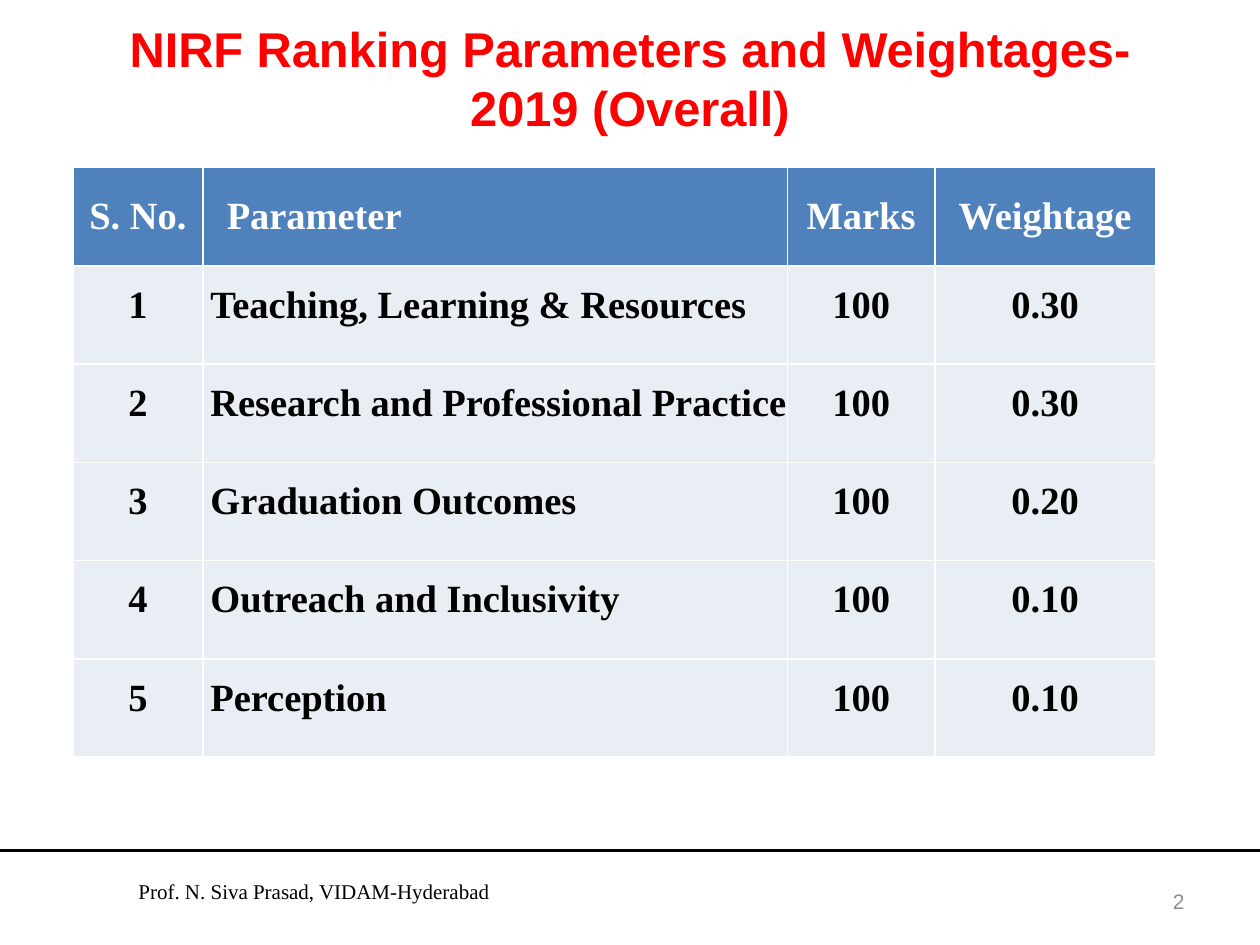
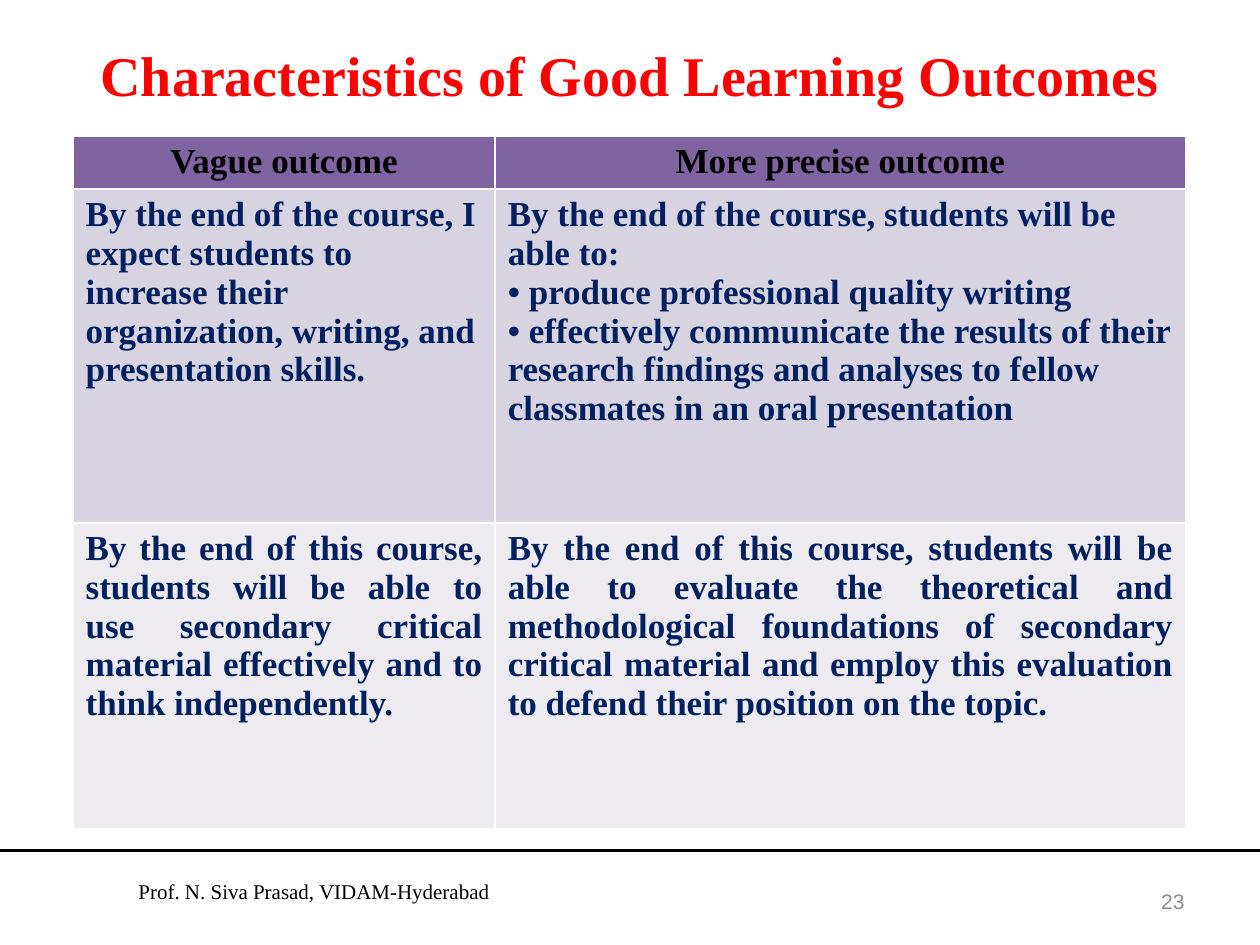
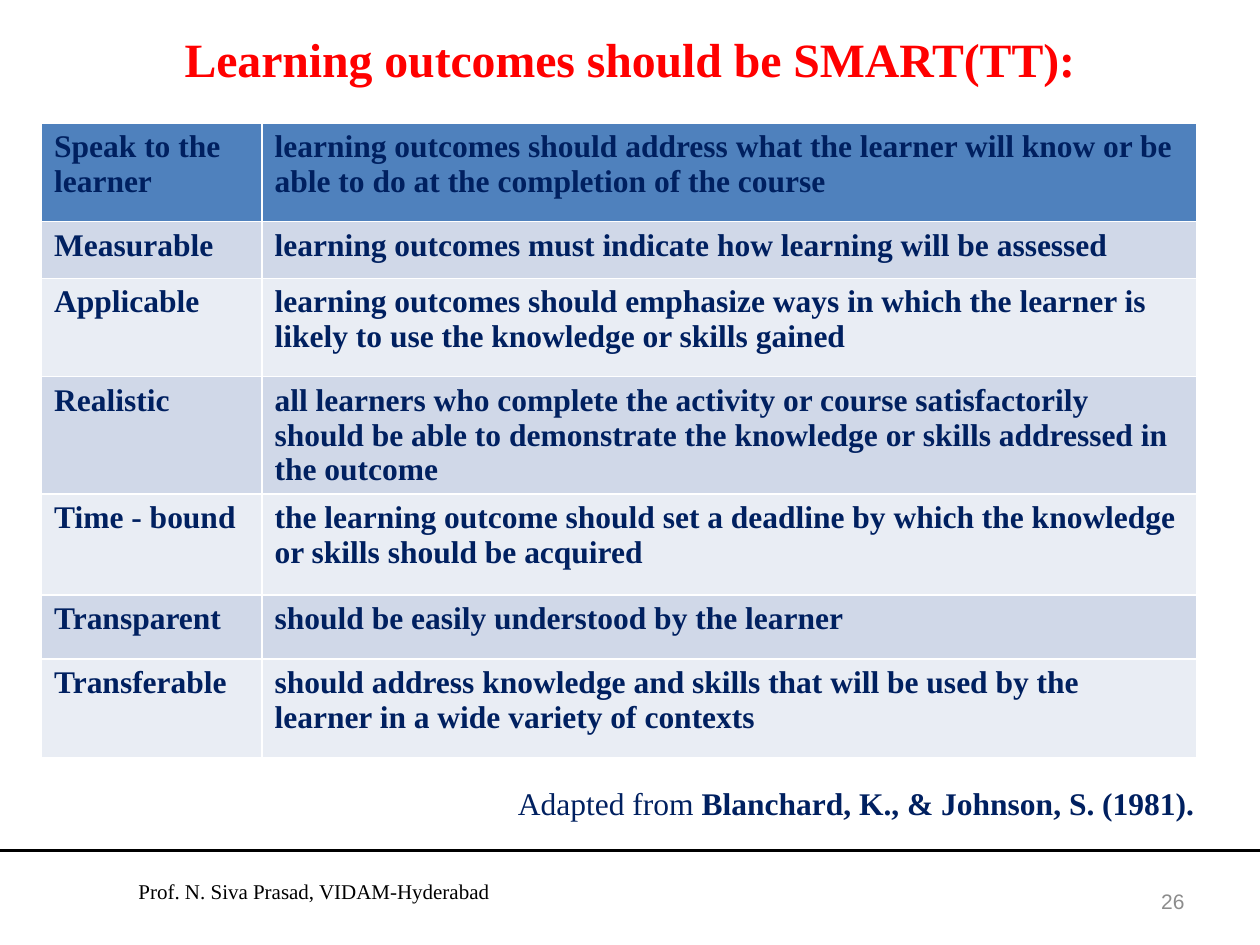
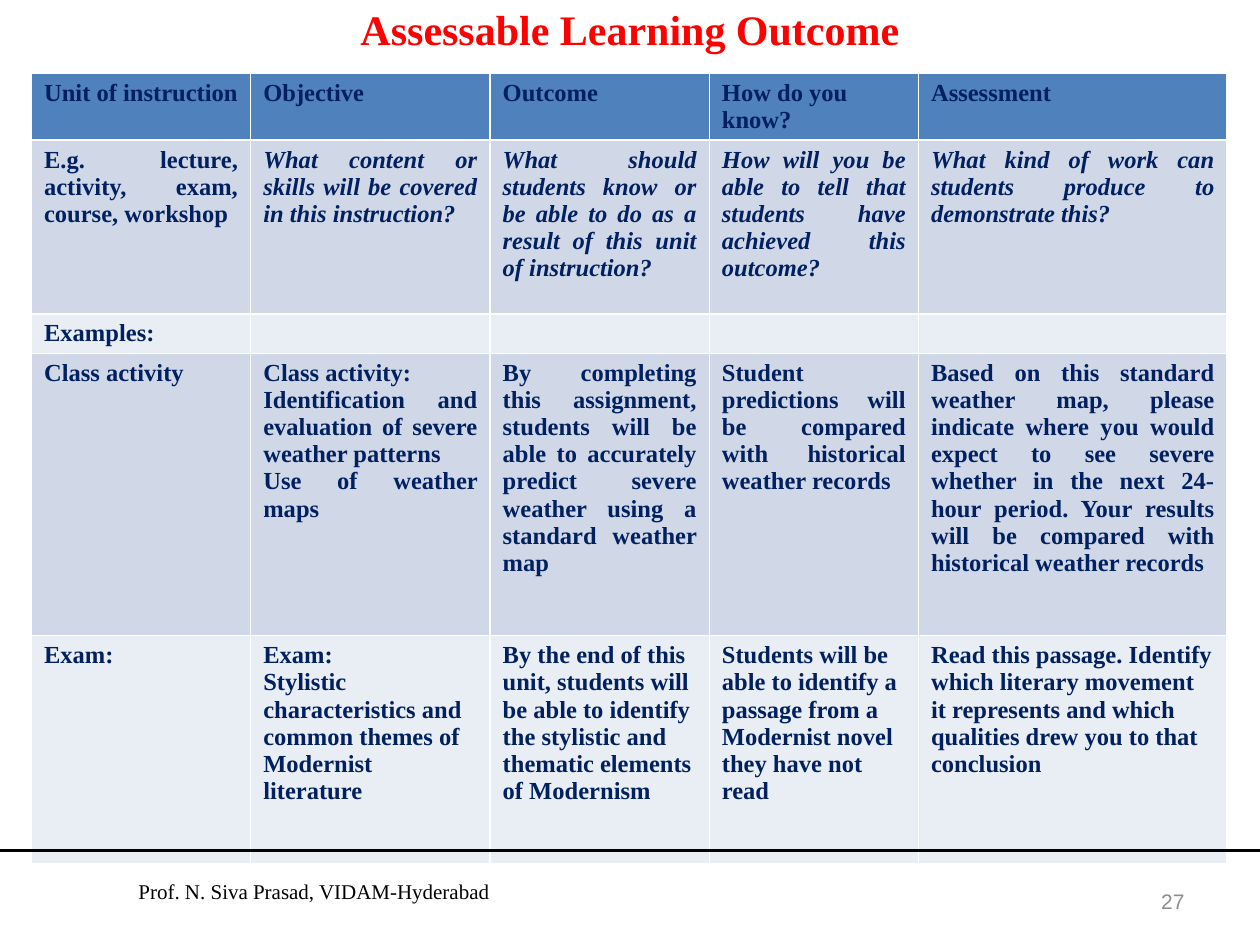
"""Builds four slides of ranking and learning outcome tables with a shared title, footer and table style."""
from pptx import Presentation
from pptx.dml.color import RGBColor
from pptx.enum.shapes import MSO_CONNECTOR
from pptx.enum.text import MSO_ANCHOR, MSO_AUTO_SIZE, PP_ALIGN
from pptx.oxml.ns import qn
from pptx.util import Inches, Pt
from lxml.etree import SubElement

RED = RGBColor(0xFF, 0x00, 0x00)
NAVY = RGBColor(0x00, 0x20, 0x60)
BLACK = RGBColor(0x00, 0x00, 0x00)
WHITE = RGBColor(0xFF, 0xFF, 0xFF)
GRAY = RGBColor(0x8C, 0x8C, 0x8C)
BLUE = RGBColor(0x4F, 0x81, 0xBD)
BLUE_BAND = RGBColor(0xD0, 0xD8, 0xE8)
BLUE_PALE = RGBColor(0xE9, 0xED, 0xF4)
PURPLE = RGBColor(0x80, 0x64, 0xA2)
PURPLE_BAND = RGBColor(0xD8, 0xD3, 0xE0)
PURPLE_PALE = RGBColor(0xED, 0xEA, 0xF0)

SERIF, SANS = "Times New Roman", "Arial"
LEFT, CENTER, RIGHT, JUSTIFY = PP_ALIGN.LEFT, PP_ALIGN.CENTER, PP_ALIGN.RIGHT, PP_ALIGN.JUSTIFY
FOOTER = "Prof. N. Siva Prasad, VIDAM-Hyderabad"
SOURCE = (("Adapted from ", False), ("Blanchard, K., & Johnson, S. (1981).", True))

SLIDES = [
    {
        "number": 2,
        "title": "NIRF Ranking Parameters and Weightages- 2019 (Overall)",
        "title_box": (0.5, 0.3, 9, 1.25), "title_size": 27.9, "title_font": SANS,
        "origin": (0.58, 1.33), "columns": (1.03, 4.64, 1.17, 1.75), "heights": (0.78,) * 6,
        "size": 22, "header_color": WHITE, "color": BLACK, "fills": (BLUE, BLUE_PALE, BLUE_PALE),
        "alignments": (CENTER,) * 6,
        "rows": [
            ("S. No.", "Parameter", "Marks", "Weightage"),
            ("1", "Teaching, Learning & Resources", "100", "0.30"),
            ("2", "Research and Professional Practice", "100", "0.30"),
            ("3", "Graduation Outcomes", "100", "0.20"),
            ("4", "Outreach and Inclusivity", "100", "0.10"),
            ("5", "Perception", "100", "0.10"),
        ],
    },
    {
        "number": 23,
        "title": "Characteristics of Good Learning Outcomes",
        "title_box": (0.5, 0.25, 9, 0.67), "title_size": 32, "title_font": SERIF,
        "origin": (0.58, 1.08), "columns": (3.35, 5.48), "heights": (0.42, 2.65, 2.43),
        "size": 20, "header_color": BLACK, "color": NAVY, "fills": (PURPLE, PURPLE_BAND, PURPLE_PALE),
        "alignments": (CENTER, LEFT, JUSTIFY),
        "rows": [
            ("Vague outcome", "More precise outcome"),
            ("By the end of the course, I expect students to increase their organization, writing, "
             "and presentation skills.",
             "By the end of the course, students will be able to:\n"
             "• produce professional quality writing\n"
             "• effectively communicate the results of their research findings and analyses to fellow "
             "classmates in an oral presentation"),
            ("By the end of this course, students will be able to use secondary critical material "
             "effectively and to think independently.",
             "By the end of this course, students will be able to evaluate the theoretical and "
             "methodological foundations of secondary critical material and employ this evaluation "
             "to defend their position on the topic."),
        ],
    },
    {
        "number": 26,
        "title": "Learning outcomes should be SMART(TT):",
        "title_box": (0.5, 0.17, 9, 0.58), "title_size": 27.3, "title_font": SERIF,
        "origin": (0.33, 0.98), "columns": (1.75, 7.42),
        "heights": (0.78, 0.45, 0.78, 0.78, 0.8, 0.51, 0.78),
        "size": 18, "header_color": NAVY, "color": NAVY, "fills": (BLUE, BLUE_BAND, BLUE_PALE),
        "alignments": (LEFT,) * 7,
        "rows": [
            ("Speak to the learner", "learning outcomes should address what the learner will know or be "
             "able to do at the completion of the course"),
            ("Measurable", "learning outcomes must indicate how learning will be assessed"),
            ("Applicable", "learning outcomes should emphasize ways in which the learner is likely to use "
             "the knowledge or skills gained"),
            ("Realistic", "all learners who complete the activity or course satisfactorily should be able "
             "to demonstrate the knowledge or skills addressed in the outcome"),
            ("Time - bound", "the learning outcome should set a deadline by which the knowledge or skills "
             "should be acquired"),
            ("Transparent", "should be easily understood by the learner"),
            ("Transferable", "should address knowledge and skills that will be used by the learner in a "
             "wide variety of contexts"),
        ],
    },
    {
        "number": 27,
        "title": "Assessable Learning Outcome",
        "title_box": (0.5, -0.08, 9, 0.62), "title_size": 24, "title_font": SERIF,
        "origin": (0.25, 0.58), "columns": (1.74, 1.9, 1.74, 1.66, 2.45),
        "heights": (0.52, 1.38, 0.31, 2.24, 1.81),
        "size": 14, "header_color": NAVY, "color": NAVY, "fills": (BLUE, BLUE_BAND, BLUE_PALE),
        "alignments": (LEFT, JUSTIFY, JUSTIFY, JUSTIFY, LEFT),
        "rows": [
            ("Unit of instruction", "Objective", "Outcome", "How do you know?", "Assessment"),
            ("E.g. lecture, activity, exam, course, workshop",
             "What content or skills will be covered in this instruction?",
             "What should students know or be able to do as a result of this unit of instruction?",
             "How will you be able to tell that students have achieved this outcome?",
             "What kind of work can students produce to demonstrate this?"),
            ("Examples:", "", "", "", ""),
            ("Class activity",
             "Class activity:\nIdentification and evaluation of severe weather patterns\nUse of weather maps",
             "By completing this assignment, students will be able to accurately predict severe weather "
             "using a standard weather map",
             "Student predictions will be compared with historical weather records",
             "Based on this standard weather map, please indicate where you would expect to see severe "
             "whether in the next 24-hour period. Your results will be compared with historical weather "
             "records"),
            ("Exam:",
             "Exam:\nStylistic characteristics and common themes of Modernist literature",
             "By the end of this unit, students will be able to identify the stylistic and thematic "
             "elements of Modernism",
             "Students will be able to identify a passage from a Modernist novel they have not read",
             "Read this passage. Identify which literary movement it represents and which qualities drew "
             "you to that conclusion"),
        ],
    },
]


def inches(*lengths):
    return [Inches(length) for length in lengths]


def style(paragraph, size, color, font=SERIF, bold=False, alignment=LEFT):
    paragraph.alignment = alignment
    paragraph.font.name = font
    paragraph.font.size = Pt(size)
    paragraph.font.bold = bold
    paragraph.font.color.rgb = color


def add_title(slide, content):
    title = slide.shapes.title
    title.left, title.top, title.width, title.height = inches(*content["title_box"])
    frame = title.text_frame
    frame.text = content["title"]
    frame.auto_size = MSO_AUTO_SIZE.NONE
    frame.vertical_anchor = MSO_ANCHOR.MIDDLE
    style(frame.paragraphs[0], content["title_size"], RED, content["title_font"], True, CENTER)
    return frame


def add_text(slide, box, runs, size, color, font=SERIF, alignment=LEFT, anchor=MSO_ANCHOR.TOP):
    frame = slide.shapes.add_textbox(*inches(*box)).text_frame
    frame.word_wrap = True
    frame.vertical_anchor = anchor
    paragraph = frame.paragraphs[0]
    style(paragraph, size, color, font, alignment=alignment)
    for text, bold in runs:
        run = paragraph.add_run()
        run.text = text
        run.font.bold = bold


def add_footer(slide, number):
    line = slide.shapes.add_connector(MSO_CONNECTOR.STRAIGHT, *inches(0, 6.75, 10, 6.75))
    line.line.color.rgb = BLACK
    line.line.width = Pt(2.25)
    SubElement(line._element.spPr, qn("a:effectLst"))
    add_text(slide, (1, 6.92, 3.69, 0.3), [(FOOTER, False)], 12, BLACK)
    add_text(slide, (7.17, 6.95, 2.33, 0.4), [(str(number), False)], 12, GRAY, SANS, RIGHT,
             MSO_ANCHOR.MIDDLE)


def add_content_table(slide, content):
    rows, columns, heights = content["rows"], content["columns"], content["heights"]
    box = inches(*content["origin"], sum(columns), sum(heights))
    table = slide.shapes.add_table(len(rows), len(columns), *box).table
    for column, width in zip(table.columns, columns):
        column.width = Inches(width)
    header_fill, *bands = content["fills"]
    for index, (row, height, texts) in enumerate(zip(table.rows, heights, rows)):
        row.height = Inches(height)
        color = content["color"] if index else content["header_color"]
        for cell, text in zip(row.cells, texts):
            cell.fill.solid()
            cell.fill.fore_color.rgb = bands[(index - 1) % 2] if index else header_fill
            cell.text = text
            for paragraph in cell.text_frame.paragraphs:
                style(paragraph, content["size"], color, bold=True, alignment=content["alignments"][index])
    return table


def fit_marks_table(table):
    for index, row in enumerate(table.rows):
        for column, cell in enumerate(row.cells):
            cell.vertical_anchor = MSO_ANCHOR.MIDDLE
            cell.margin_left = cell.margin_right = cell.margin_top = cell.margin_bottom = 0
            paragraph = cell.text_frame.paragraphs[0]
            if index:
                paragraph.line_spacing = Pt(13.2)
            if column == 1:
                paragraph.alignment = LEFT
                cell.margin_left = Inches(0.06 if index else 0.19)


presentation = Presentation()
presentation.slide_width, presentation.slide_height = inches(10, 7.5)
title_only = presentation.slide_layouts.get_by_name("Title Only")
tables, slides, titles = [], [], []
for content in SLIDES:
    slide = presentation.slides.add_slide(title_only)
    slides.append(slide)
    titles.append(add_title(slide, content))
    tables.append(add_content_table(slide, content))
    add_footer(slide, content["number"])

titles[0].vertical_anchor = MSO_ANCHOR.BOTTOM
titles[0].margin_bottom = Inches(0.47)
fit_marks_table(tables[0])
add_text(slides[2], (3.92, 6.17, 5.75, 0.4), SOURCE, 18, NAVY, alignment=CENTER)
for cell in list(tables[3].rows[1].cells)[1:]:
    cell.text_frame.paragraphs[0].font.italic = True

presentation.save("out.pptx")
